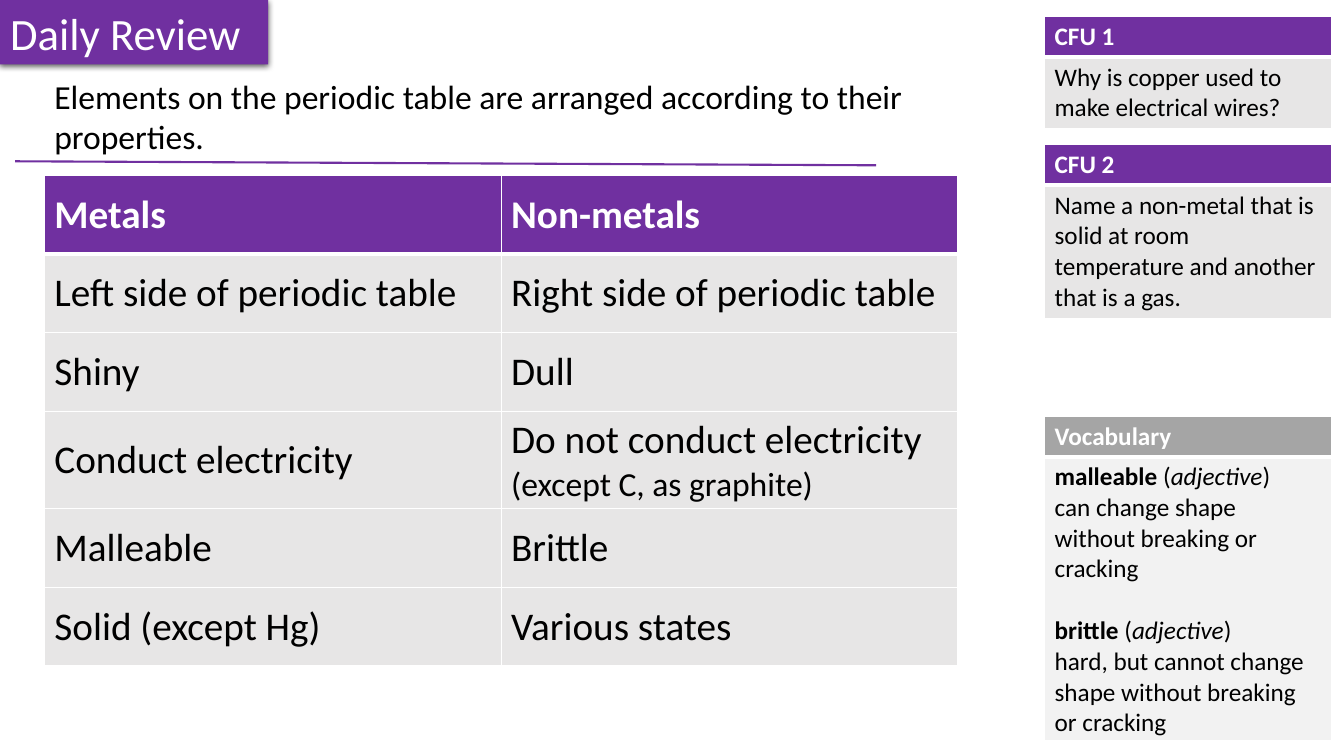
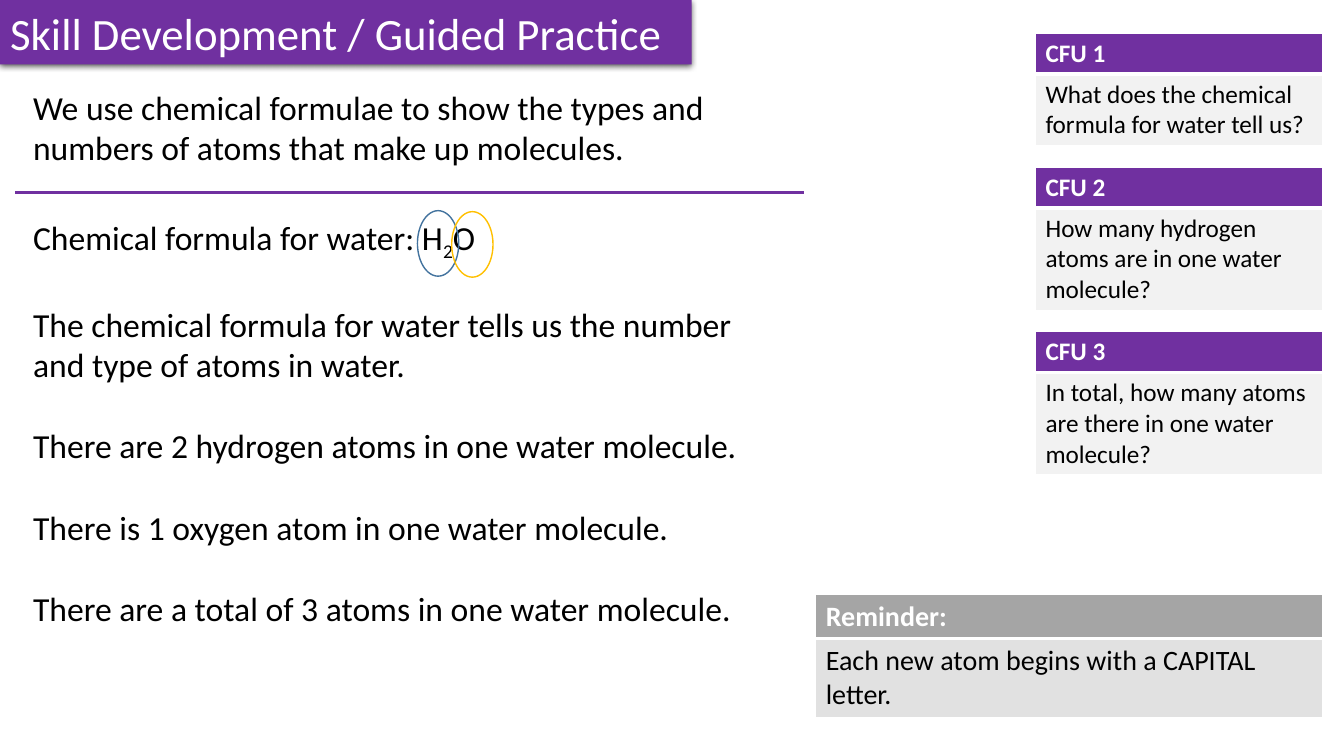
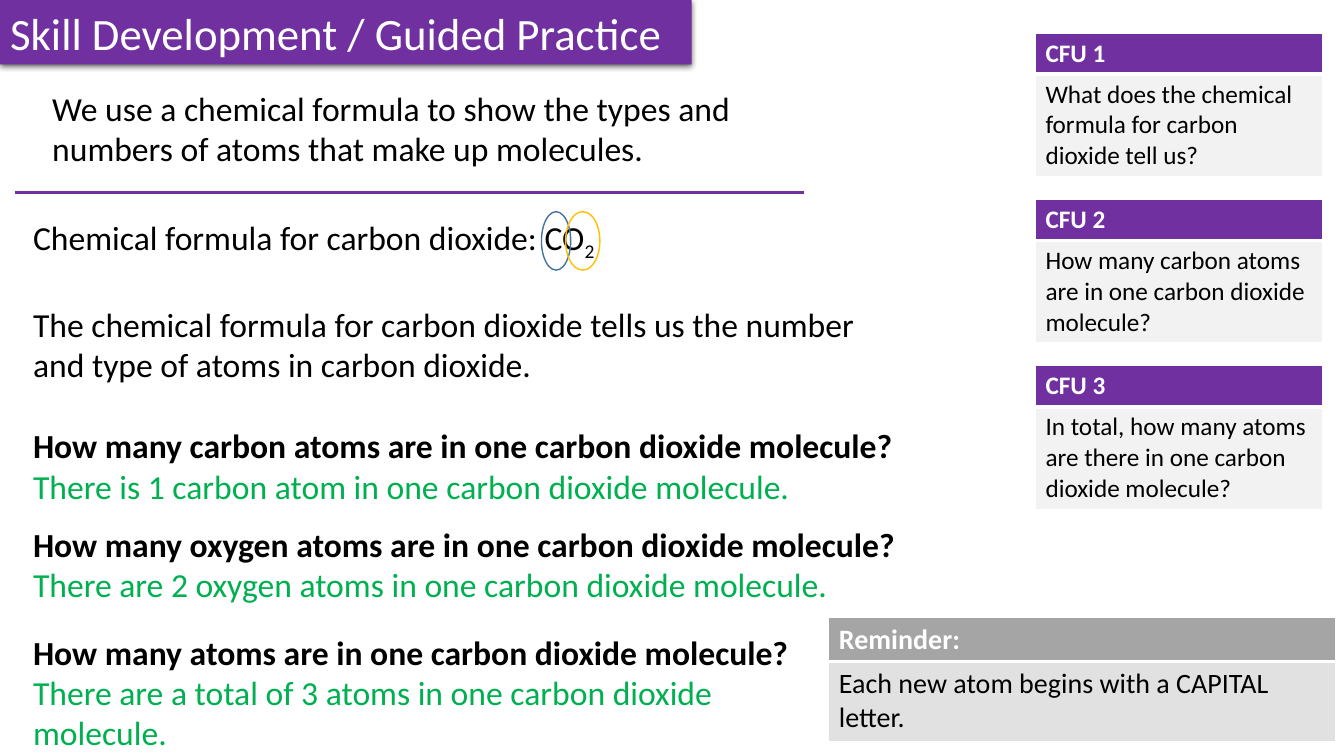
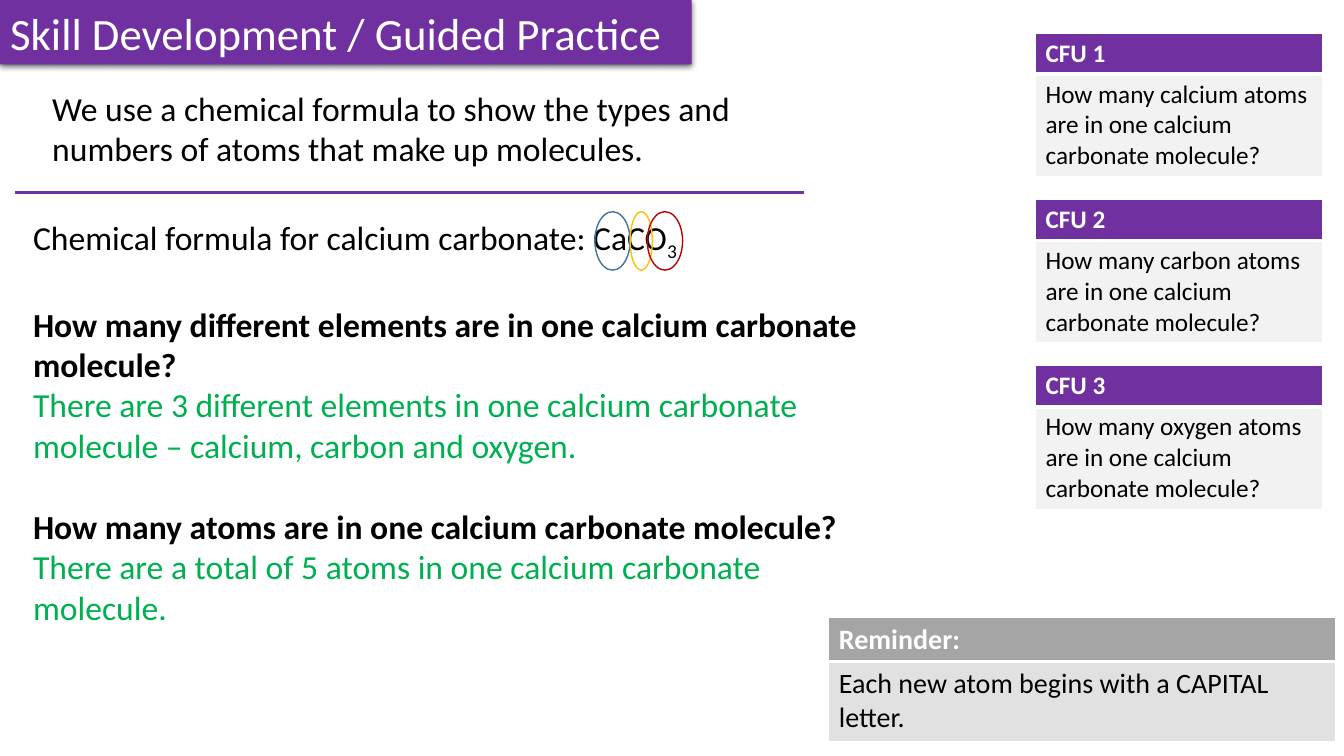
from lxml import etree
from pptx import Presentation
from pptx.dml.color import RGBColor
from pptx.enum.shapes import MSO_CONNECTOR, MSO_SHAPE
from pptx.enum.text import MSO_ANCHOR, MSO_AUTO_SIZE, PP_ALIGN
from pptx.oxml import parse_xml
from pptx.oxml.ns import nsdecls, qn
from pptx.util import Pt

PX = 9144  # 100 px to the inch
STRAIGHT, ELLIPSE = MSO_CONNECTOR.STRAIGHT, MSO_SHAPE.OVAL
TOP, MIDDLE = MSO_ANCHOR.TOP, MSO_ANCHOR.MIDDLE
LEFT, FIXED = PP_ALIGN.LEFT, MSO_AUTO_SIZE.NONE

PURPLE = RGBColor(0x70, 0x30, 0xA0)
WHITE = RGBColor(0xFF, 0xFF, 0xFF)
BLACK = RGBColor(0x00, 0x00, 0x00)
GREEN = RGBColor(0x00, 0xB0, 0x50)
BLUE = RGBColor(0x43, 0x73, 0x9E)
GOLD = RGBColor(0xFF, 0xC0, 0x00)
RED = RGBColor(0xC0, 0x00, 0x00)
HEAD_GREY = RGBColor(0xA5, 0xA5, 0xA5)
MID_GREY = RGBColor(0xE1, 0xE1, 0xE1)
WARM_GREY = RGBColor(0xE7, 0xE6, 0xE6)
PALE_GREY = RGBColor(0xF2, 0xF2, 0xF2)

# Text formats
BOLD = {"bold": True}
ITALIC = {"italic": True}
ANSWER = {"color": GREEN}
SUBSCRIPT = {"baseline": -25000}
BODY = {"name": "Calibri", "size": Pt(24), "color": BLACK}
TITLE = {**BODY, "size": Pt(32), "color": WHITE}

LINE = 29.3  # height in points of one line of body text
PRACTICE = "Skill Development / Guided Practice"
INTRO = ("We use a chemical formula to show the types and numbers of atoms "
         "that make up molecules.")


def px(*lengths):
    return [length * PX for length in lengths]


def plain(text, look=None, gap=0):
    """A paragraph of one span, with the space before it in points."""
    return gap, [(text, look or {})]


def write(frame, paras, base):
    """Fill a text frame with (gap, spans) paragraphs."""
    for index, (gap, spans) in enumerate(paras):
        para = frame.paragraphs[0] if index == 0 else frame.add_paragraph()
        para.alignment = LEFT
        if gap:
            para.space_before = Pt(gap)
        for text, extra in spans:
            span = para.add_run()
            span.text = text
            for key, value in {**base, **extra}.items():
                if key == "color":
                    span.font.color.rgb = value
                elif key == "baseline":
                    span._r.get_or_add_rPr().set("baseline", str(value))
                else:
                    setattr(span.font, key, value)


def add_page(deck, title, width):
    """New slide whose title sits in an arrow-shaped banner."""
    page = deck.slides.add_slide(deck.slide_layouts[5])
    banner = page.shapes.title
    banner.left, banner.top, banner.width, banner.height = px(0, 0, width, 64)
    outline = banner._element.spPr
    outline.append(parse_xml(
        f'<a:prstGeom {nsdecls("a")} prst="homePlate"><a:avLst/></a:prstGeom>'))
    banner.fill.solid()
    banner.fill.fore_color.rgb = PURPLE
    outline.append(parse_xml(
        f'<a:effectLst {nsdecls("a")}><a:outerShdw blurRad="{Pt(4.5)}" '
        f'dist="{Pt(1.5)}" dir="5400000" algn="t" rotWithShape="0">'
        '<a:srgbClr val="000000"><a:alpha val="63000"/></a:srgbClr>'
        '</a:outerShdw></a:effectLst>'))
    frame = banner.text_frame
    frame.auto_size, frame.word_wrap = FIXED, False
    frame.vertical_anchor = MIDDLE
    write(frame, [plain(title)], TITLE)
    return page


def add_text(page, box, paras):
    frame = page.shapes.add_textbox(*px(*box)).text_frame
    frame.word_wrap = True
    write(frame, paras, BODY)


def add_rule(page, *ends):
    rule = page.shapes.add_connector(STRAIGHT, *px(*ends))
    rule.line.color.rgb = PURPLE
    rule.line.width = Pt(1.5)
    etree.SubElement(rule._element.spPr, qn("a:effectLst"))


def add_ring(page, box, color):
    ring = page.shapes.add_shape(ELLIPSE, *px(*box))
    ring.shadow.inherit = False
    ring.fill.background()
    ring.line.color.rgb = color
    ring.line.width = Pt(1)


def add_grid(page, box, heights, rows, size, head_fill, body_fill, anchor=TOP):
    """Table with a coloured head row; each cell holds a list of paragraphs."""
    shape = page.shapes.add_table(len(rows), len(rows[0]), *px(*box))
    table = shape.table
    table.first_row = table.horz_banding = False
    for row, height in zip(table.rows, heights):
        row.height = height * PX
    for r, row in enumerate(rows):
        look = {**BODY, "size": Pt(size)}
        if r == 0:
            look.update(color=WHITE, bold=True)
        # a thicker white line parts the head from the body
        widths = {"L": 1, "R": 1, "T": 3 if r == 1 else 1, "B": 3 if r == 0 else 1}
        for c, paras in enumerate(row):
            cell = table.cell(r, c)
            for side, width in widths.items():
                cell._tc.get_or_add_tcPr().append(parse_xml(
                    f'<a:ln{side} {nsdecls("a")} w="{Pt(width)}"><a:solidFill>'
                    f'<a:srgbClr val="{WHITE}"/></a:solidFill></a:ln{side}>'))
            cell.fill.solid()
            cell.fill.fore_color.rgb = body_fill if r else head_fill
            cell.vertical_anchor = anchor
            write(cell.text_frame, paras, look)


def add_card(page, box, heading, paras, head_fill, body_fill, size=18):
    """Side card: a heading over one block of text."""
    head = 41 if size > 18 else 39
    add_grid(page, box, [head, box[3] - head], [[[plain(heading)]], [paras]],
             size, head_fill, body_fill)


def add_questions(page, left, top, gap, questions, fill):
    """Stack of numbered check-for-understanding cards."""
    for number, (height, question) in enumerate(questions, 1):
        add_card(page, (left, top, 285, height), f"CFU {number}",
                 [plain(question)], PURPLE, fill)
        top += height + gap


def add_review(deck):
    page = add_page(deck, "Daily Review", 266)
    add_questions(page, 1036, 16, 17, [
        (110, "Why is copper used to make electrical wires?"),
        (170, "Name a non-metal that is solid at room temperature and another "
              "that is a gas."),
    ], WARM_GREY)
    add_text(page, (44, 70, 872, 91), [plain(
        "Elements on the periodic table are arranged according to their properties.")])
    add_rule(page, 15, 160, 869, 164)

    # Vocabulary
    add_card(page, (1036, 413, 285, 321), "Vocabulary", [
        (0, [("malleable", BOLD), (" (", {}), ("adjective", ITALIC), (")", {})]),
        plain("can change shape without breaking or cracking"),
        (22, [("brittle ", BOLD), ("(", {}), ("adjective", ITALIC), (")", {})]),
        plain("hard, but cannot change shape without breaking or cracking"),
    ], HEAD_GREY, PALE_GREY)

    # Comparison of metals and non-metals
    pairs = [
        ("Metals", "Non-metals"),
        ("Left side of periodic table", "Right side of periodic table"),
        ("Shiny", "Dull"),
        ("Conduct electricity", "Do not conduct electricity "),
        ("Malleable", "Brittle"),
        ("Solid (except Hg)", "Various states"),
    ]
    rows = [[[plain(text)] for text in pair] for pair in pairs]
    rows[3][1][0][1].append(("(except C, as graphite)", {"size": Pt(24)}))
    add_grid(page, (44, 174, 906, 486), [78, 78, 78, 96, 78, 78], rows, 28,
             PURPLE, WARM_GREY, MIDDLE)


def add_practice(deck, intro, intro_at, gap, questions, reminder_at,
                 body_size, paras, rings):
    """Guided practice: rule, worked formula, questions and reminder."""
    page = add_page(deck, PRACTICE, 686)
    add_questions(page, 1027, 33, gap, questions, PALE_GREY)
    add_text(page, (*intro_at, 766, 91), [plain(intro)])
    add_rule(page, 15, 191, 797, 191)
    add_card(page, (*reminder_at, 503, 120), "Reminder:",
             [plain("Each new atom begins with a CAPITAL letter.")],
             HEAD_GREY, MID_GREY, 20)
    add_text(page, (23, 210, *body_size), paras)
    for box, color in zip(rings, (BLUE, GOLD, RED)):
        add_ring(page, box, color)


def main():
    deck = Presentation()
    deck.slide_width, deck.slide_height = px(1333, 750)
    add_review(deck)

    # Water
    add_practice(
        deck,
        "We use chemical formulae to show the types and numbers of atoms "
        "that make up molecules.",
        (23, 81), 23,
        [(110, "What does the chemical formula for water tell us?"),
         (140, "How many hydrogen atoms are in one water molecule?"),
         (140, "In total, how many atoms are there in one water molecule?")],
        (809, 590), (766, 495),
        [(0, [("Chemical formula for water: H", {}), ("2", SUBSCRIPT), ("O", {})]),
         plain("The chemical formula for water tells us the number and type of "
               "atoms in water.", gap=LINE),
         plain("There are 2 hydrogen atoms in one water molecule.", gap=LINE),
         plain("There is 1 oxygen atom in one water molecule.", gap=LINE),
         plain("There are a total of 3 atoms in one water molecule.", gap=LINE)],
        [(414, 209, 41, 65), (448, 210, 41, 65)])

    # Carbon dioxide
    add_practice(
        deck, INTRO, (42, 82), 25,
        [(140, "What does the chemical formula for carbon dioxide tell us?"),
         (140, "How many carbon atoms are in one carbon dioxide molecule?"),
         (140, "In total, how many atoms are there in one carbon dioxide molecule?")],
        (822, 613), (884, 540),
        [(0, [("Chemical formula for carbon dioxide: CO", {}), ("2", SUBSCRIPT)]),
         plain("The chemical formula for carbon dioxide tells us the number and "
               "type of atoms in carbon dioxide.", gap=LINE),
         plain("How many carbon atoms are in one carbon dioxide molecule?", BOLD, LINE),
         plain("There is 1 carbon atom in one carbon dioxide molecule.", ANSWER),
         plain("How many oxygen atoms are in one carbon dioxide molecule?", BOLD, 12.8),
         plain("There are 2 oxygen atoms in one carbon dioxide molecule.", ANSWER),
         plain("How many atoms are in one carbon dioxide molecule?", BOLD, 19.5),
         plain("There are a total of 3 atoms in one carbon dioxide", ANSWER),
         plain("molecule.", ANSWER)],
        [(537, 210, 29, 58), (561, 210, 34, 58)])

    # Calcium carbonate
    add_practice(
        deck, INTRO, (42, 82), 25,
        [(140, f"How many {element} atoms are in one calcium carbonate molecule?")
         for element in ("calcium", "carbon", "oxygen")],
        (822, 613), (906, 454),
        [(0, [("Chemical formula for calcium carbonate: CaCO", {}), ("3", SUBSCRIPT)]),
         plain("How many different elements are in one calcium carbonate molecule?",
               BOLD, LINE),
         plain("There are 3 different elements in one calcium carbonate molecule – "
               "calcium, carbon and oxygen.", ANSWER),
         plain("How many atoms are in one calcium carbonate molecule?", BOLD, LINE),
         plain("There are a total of 5 atoms in one calcium carbonate", ANSWER),
         plain("molecule.", ANSWER)],
        [(590, 210, 35, 58), (625, 210, 22, 58), (642, 210, 35, 58)])

    deck.save("out.pptx")


if __name__ == "__main__":
    main()
